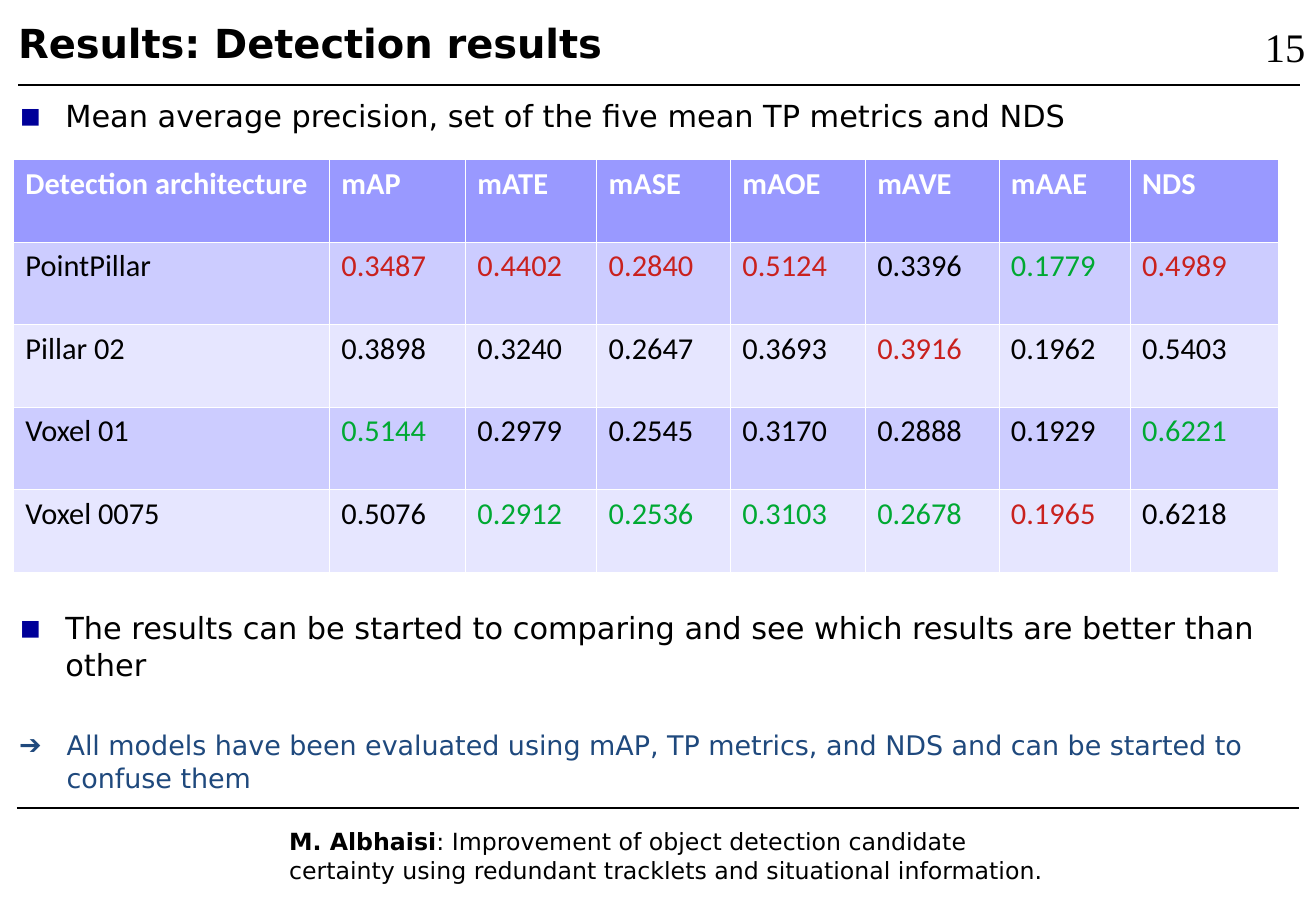
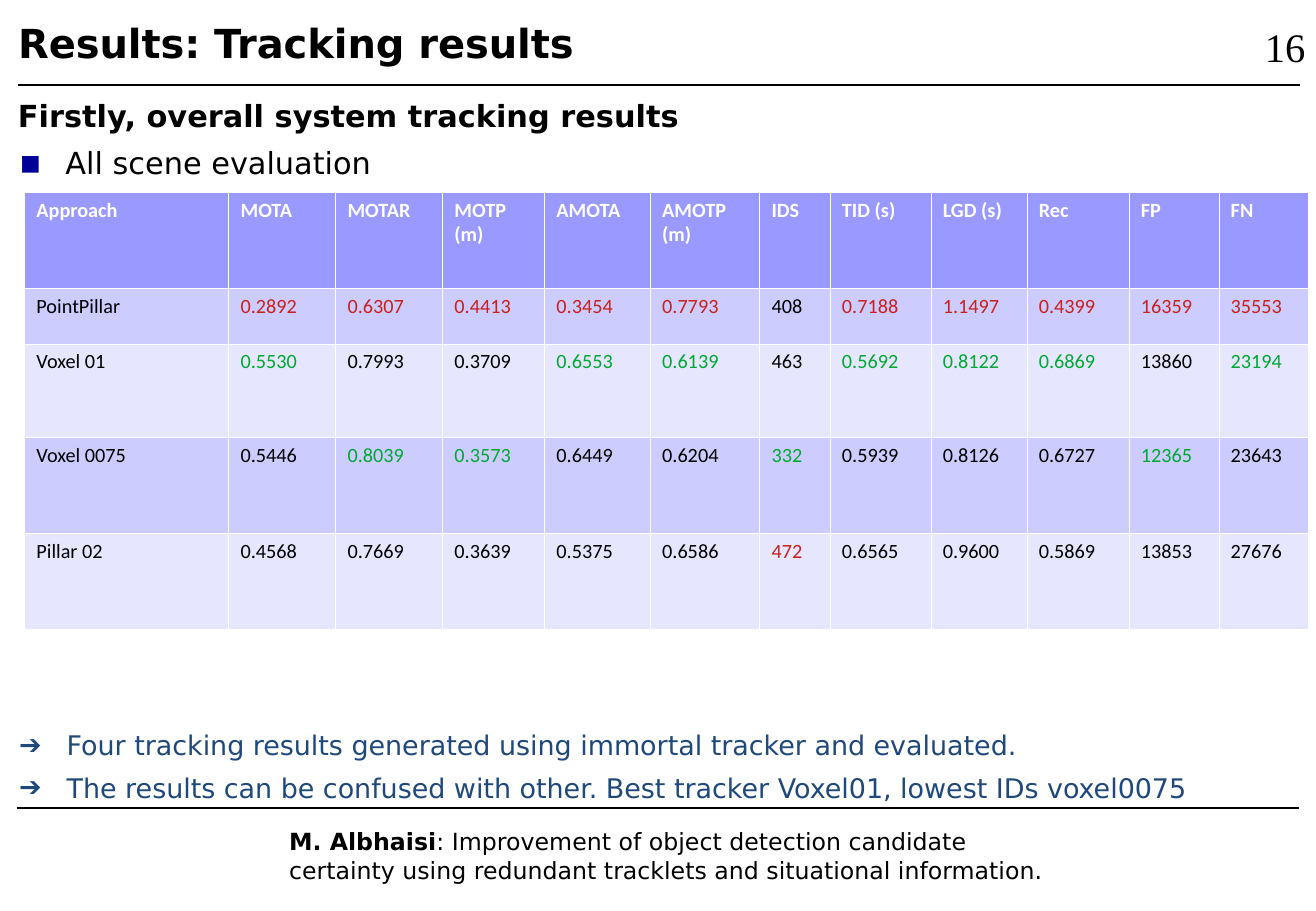
import pptx
import pptx.dml.color
import pptx.enum.shapes
import pptx.enum.text
import pptx.oxml
import pptx.oxml.ns
import pptx.util
from lxml import etree

Inches = pptx.util.Inches
Pt = pptx.util.Pt

COLORS = {
    "text": "000000", "white": "FFFFFF", "bullet": "000099", "takeaway": "1F497D",
    "best": "00A933", "worst": "C9211E",
    "header": "9999FF", "odd": "CCCCFF", "even": "E6E6FF",
}
AUTHOR = "M. Albhaisi"
TOPIC = (": Improvement of object detection candidate certainty "
         "using redundant tracklets and situational information.")


def rgb(name):
    return pptx.dml.color.RGBColor.from_string(COLORS[name])


def add_run(p, text, size=18, font="DejaVu Sans", color="text", bold=False):
    r = p.add_run()
    r.text = text
    r.font.size = Pt(size)
    r.font.name = font
    r.font.bold = bold
    r.font.color.rgb = rgb(color)
    return r


def add_bullet(p, char, color, indent, hanging, percent=100):
    pPr = p._p.get_or_add_pPr()
    pPr.set("marL", str(Inches(indent)))
    pPr.set("indent", str(-Inches(hanging)))
    ns = pptx.oxml.ns.nsdecls("a")
    for xml in (f'<a:buClr {ns}><a:srgbClr val="{COLORS[color]}"/></a:buClr>',
                f'<a:buSzPct {ns} val="{percent * 1000}"/>',
                f'<a:buFont {ns} typeface="DejaVu Sans"/>',
                f'<a:buChar {ns} char="{char}"/>'):
        pPr.append(pptx.oxml.parse_xml(xml))


def add_borders(cell, width=0.06):
    """Draw thin white lines on the four sides of a table cell."""
    tcPr = cell._tc.get_or_add_tcPr()
    for i, side in enumerate("LRTB"):
        tcPr.insert(i, pptx.oxml.parse_xml(
            f'<a:ln{side} {pptx.oxml.ns.nsdecls("a")} w="{Pt(width)}"><a:solidFill>'
            f'<a:srgbClr val="{COLORS["white"]}"/></a:solidFill></a:ln{side}>'))


def mark_extremes(rows, higher_better):
    """Map (row, column) to "best" or "worst" for each column of figures."""
    marks = {}
    for col, head in enumerate(rows[0][1:], 1):
        order = sorted(range(1, len(rows)), key=lambda i: float(rows[i][col]),
                       reverse=head in higher_better)
        marks[order[0], col] = "best"
        marks[order[-1], col] = "worst"
    return marks


class Deck:
    def __init__(self):
        self.prs = pptx.Presentation()
        self.prs.slide_width = Inches(10.83)
        self.prs.slide_height = Inches(7.5)
        self.s = None

    def new_slide(self, title, number):
        self.s = self.prs.slides.add_slide(self.prs.slide_layouts[6])
        self.rule(0.15, 0.7, 0.75)
        self.rule(0.14, 6.65, 1)

        p = self.box(2.28, 6.76, 6.62, 0.56).paragraphs[0]
        add_run(p, AUTHOR, size=14, bold=True)
        add_run(p, TOPIC, size=14)

        tf = self.box(0.05, 0.1, 9.75, 0.5)
        tf.vertical_anchor = pptx.enum.text.MSO_ANCHOR.MIDDLE
        add_run(tf.paragraphs[0], title, size=23.7, bold=True)

        tf = self.box(10.31, 0.13, 0.52, 0.47)
        tf.margin_right = 0
        add_run(tf.paragraphs[0], str(number), size=24, font="Times New Roman")

    def rule(self, x, y, width):
        line = self.s.shapes.add_connector(
            pptx.enum.shapes.MSO_CONNECTOR.STRAIGHT,
            Inches(x), Inches(y), Inches(x + 10.55), Inches(y))
        line.line.color.rgb = rgb("text")
        line.line.width = Pt(width)
        etree.SubElement(line._element.spPr, pptx.oxml.ns.qn("a:effectLst"))

    def box(self, x, y, w, h):
        sp = self.s.shapes.add_textbox(Inches(x), Inches(y), Inches(w), Inches(h))
        tf = sp.text_frame
        tf.word_wrap = True
        return tf

    def body(self, *points, heading=None):
        """Points are pairs of text and space before it."""
        tf = self.box(0.05, 0.75, 10.64, 5.52)
        p = tf.paragraphs[0]
        if heading:
            p.space_before = Pt(6)
            add_run(p, heading, bold=True)
            p = tf.add_paragraph()
        for i, (text, space) in enumerate(points):
            p = tf.add_paragraph() if i else p
            p.space_before = Pt(space)
            add_bullet(p, "▪", "bullet", 0.39, 0.38, percent=110)
            add_run(p, text)

    def takeaways(self, *texts):
        tf = self.box(0.05, 5.95, 10.45, 0.63)
        for i, text in enumerate(texts):
            p = tf.add_paragraph() if i else tf.paragraphs[0]
            p.space_before = Pt(6)
            add_bullet(p, "➔", "takeaway", 0.4, 0.39)
            add_run(p, text, size=16, color="takeaway")

    def table(self, x, y, widths, heights, rows, higher_better, size):
        marks = mark_extremes(rows, higher_better)
        table = self.s.shapes.add_table(
            len(rows), len(widths), Inches(x), Inches(y),
            Inches(sum(widths)), Inches(sum(heights))).table
        table.first_row = table.horz_banding = False
        for col, width in zip(table.columns, widths):
            col.width = Inches(width)
        for i, (row, height) in enumerate(zip(rows, heights)):
            table.rows[i].height = Inches(height)
            fill = ("odd" if i % 2 else "even") if i else "header"
            for j, text in enumerate(row):
                cell = table.cell(i, j)
                cell.fill.solid()
                cell.fill.fore_color.rgb = rgb(fill)
                add_borders(cell)
                color = marks.get((i, j), "text") if i else "white"
                tf = cell.text_frame
                for k, line in enumerate(text.split("\n")):
                    p = tf.add_paragraph() if k else tf.paragraphs[0]
                    add_run(p, line, size=size, font="Calibri", color=color, bold=i == 0)


DETECTION = [
    ["Detection architecture", "mAP", "mATE", "mASE", "mAOE", "mAVE", "mAAE", "NDS"],
    ["PointPillar", "0.3487", "0.4402", "0.2840", "0.5124", "0.3396", "0.1779", "0.4989"],
    ["Pillar 02", "0.3898", "0.3240", "0.2647", "0.3693", "0.3916", "0.1962", "0.5403"],
    ["Voxel 01", "0.5144", "0.2979", "0.2545", "0.3170", "0.2888", "0.1929", "0.6221"],
    ["Voxel 0075", "0.5076", "0.2912", "0.2536", "0.3103", "0.2678", "0.1965", "0.6218"],
]
TRACKING = [
    ["Approach", "MOTA", "MOTAR", "MOTP (m)", "AMOTA", "AMOTP\n(m)",
     "IDS", "TID (s)", "LGD (s)", "Rec", "FP", "FN"],
    ["PointPillar", "0.2892", "0.6307", "0.4413", "0.3454", "0.7793",
     "408", "0.7188", "1.1497", "0.4399", "16359", "35553"],
    ["Voxel 01", "0.5530", "0.7993", "0.3709", "0.6553", "0.6139",
     "463", "0.5692", "0.8122", "0.6869", "13860", "23194"],
    ["Voxel 0075", "0.5446", "0.8039", "0.3573", "0.6449", "0.6204",
     "332", "0.5939", "0.8126", "0.6727", "12365", "23643"],
    ["Pillar 02", "0.4568", "0.7669", "0.3639", "0.5375", "0.6586",
     "472", "0.6565", "0.9600", "0.5869", "13853", "27676"],
]


def main():
    deck = Deck()

    deck.new_slide("Results: Detection results", 15)
    deck.body(
        ("Mean average precision, set of the five mean TP metrics and NDS", 6),
        ("The results can be started to comparing and see which results "
         "are better than other", 282))
    deck.takeaways("All models have been evaluated using mAP, TP metrics, and NDS "
                   "and can be started to confuse them")
    deck.table(0.11, 1.31, [2.6, 1.12, 1.08, 1.1, 1.11, 1.1, 1.08, 1.22], [0.68] * 5,
               DETECTION, {"mAP", "NDS"}, size=18)

    deck.new_slide("Results: Tracking results", 16)
    deck.body(("All scene evaluation", 6),
              heading="Firstly, overall system tracking results")
    deck.takeaways(
        "Four tracking results generated using immortal tracker and evaluated.",
        "The results can be confused with other. Best tracker Voxel01, "
        "lowest IDs voxel0075")
    deck.table(0.2, 1.58,
               [1.68, 0.88, 0.88, 0.84, 0.87, 0.9, 0.58, 0.83, 0.79, 0.84, 0.74, 0.74],
               [0.79, 0.46, 0.77, 0.79, 0.79],
               TRACKING, {"MOTA", "MOTAR", "AMOTA", "Rec"}, size=12)

    deck.prs.save("out.pptx")


if __name__ == "__main__":
    main()
